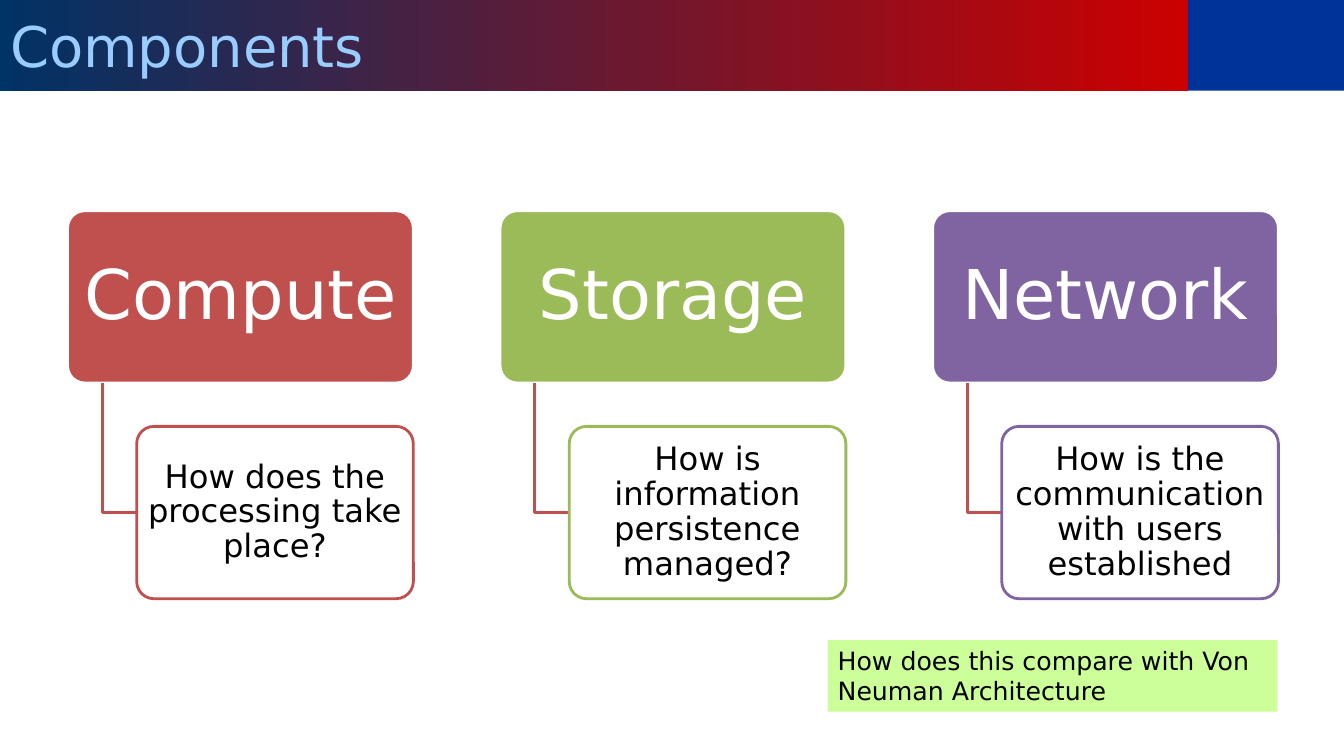
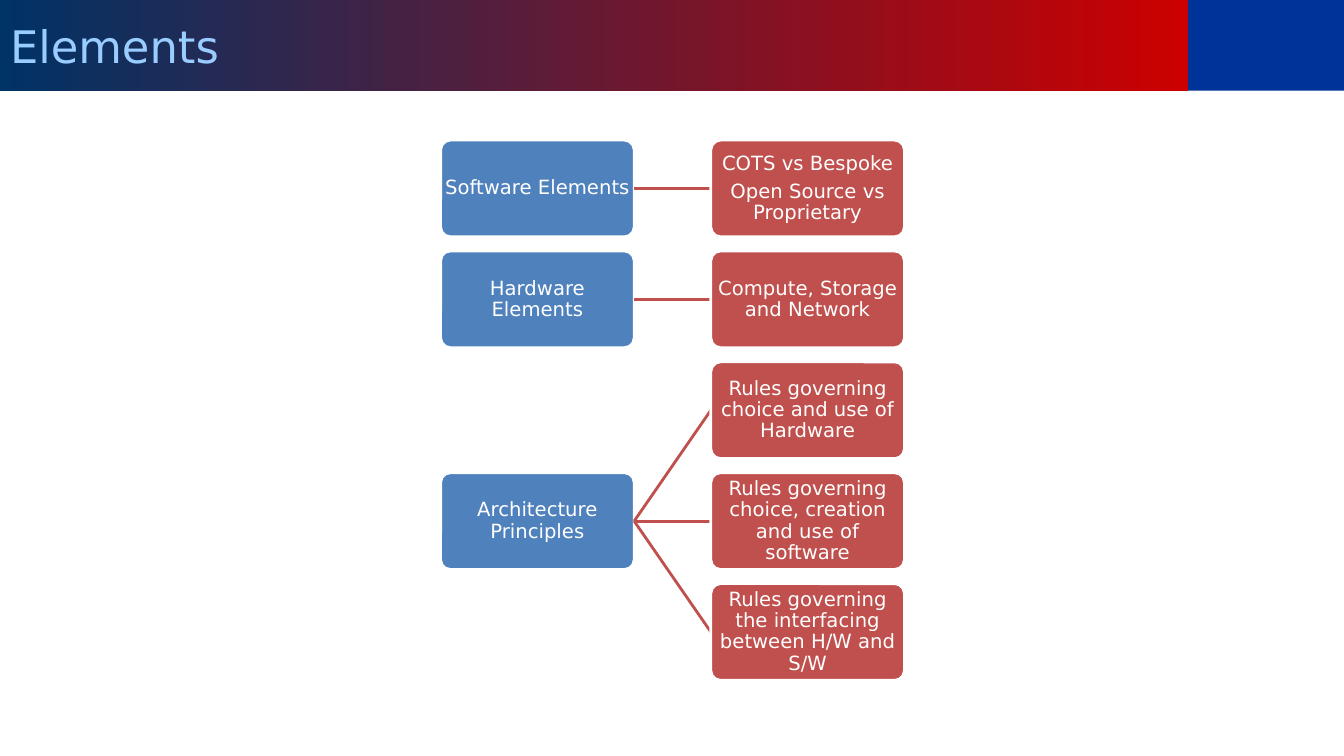
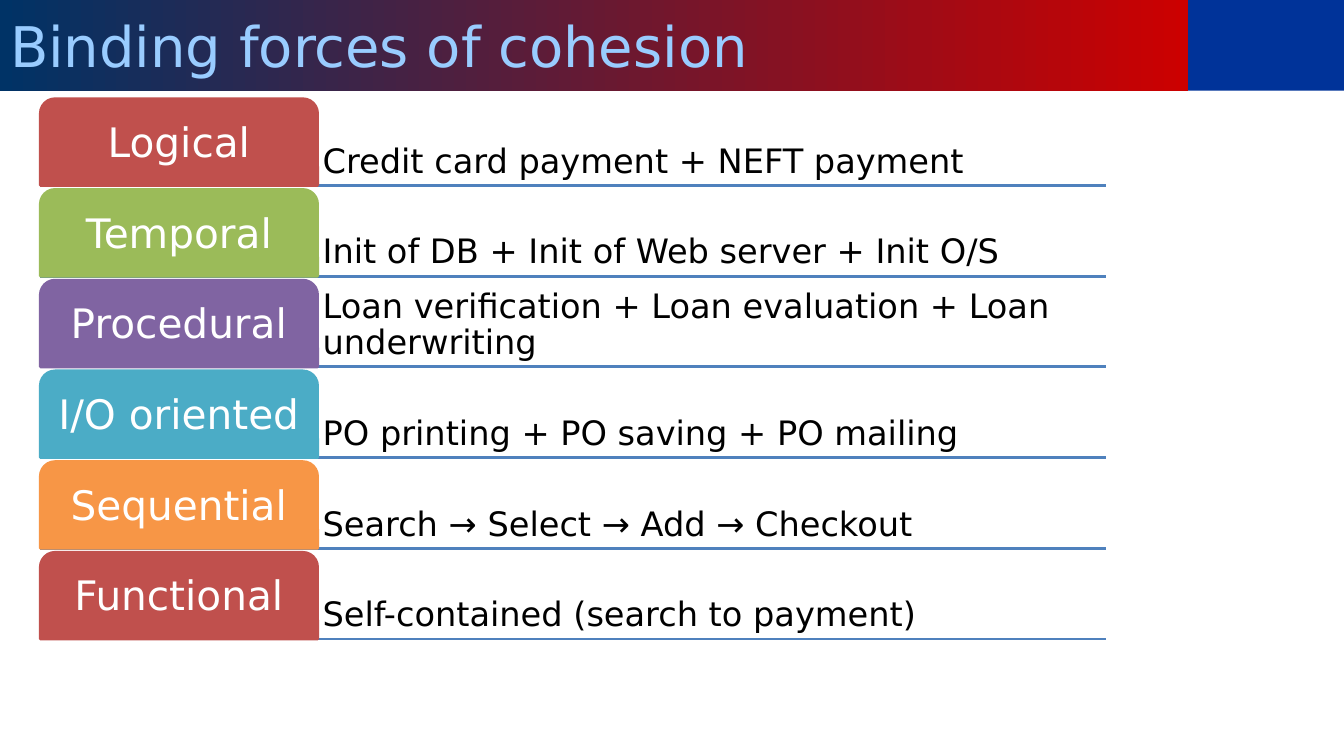
from dataclasses import dataclass
from typing import NamedTuple, Optional

from lxml.etree import SubElement
from pptx import Presentation
from pptx.dml.color import RGBColor
from pptx.enum.shapes import MSO_CONNECTOR, MSO_SHAPE
from pptx.enum.text import MSO_ANCHOR, MSO_AUTO_SIZE, PP_ALIGN
from pptx.oxml.ns import qn
from pptx.shapes.autoshape import Shape
from pptx.slide import Slide
from pptx.text.text import TextFrame
from pptx.util import Inches, Pt

# Shared style
FONT = "DejaVu Sans"
WIDTH, HEIGHT = 13.33, 7.5
BAND_HEIGHT, TITLE_WIDTH = 0.9, 11.78
LINE_WIDTH = Pt(2)

WHITE = RGBColor(0xFF, 0xFF, 0xFF)
BLACK = RGBColor(0x00, 0x00, 0x00)
NAVY = RGBColor(0x00, 0x33, 0x66)
BRIGHT_RED = RGBColor(0xCC, 0x00, 0x00)
BAND_BLUE = RGBColor(0x00, 0x33, 0x99)
SKY = RGBColor(0x99, 0xCC, 0xFF)
LIME = RGBColor(0xCC, 0xFF, 0x99)
BLUE = RGBColor(0x4F, 0x81, 0xBD)
RED = RGBColor(0xC0, 0x50, 0x4D)
GREEN = RGBColor(0x9B, 0xBB, 0x59)
PURPLE = RGBColor(0x80, 0x64, 0xA2)
TEAL = RGBColor(0x4B, 0xAC, 0xC6)
ORANGE = RGBColor(0xF7, 0x96, 0x46)


class Box(NamedTuple):
    left: float
    top: float
    width: float
    height: float

    @property
    def right(self) -> float:
        return self.left + self.width

    @property
    def bottom(self) -> float:
        return self.top + self.height

    @property
    def middle(self) -> float:
        return self.top + self.height / 2

    def emu(self) -> list[int]:
        return [Inches(v) for v in self]


@dataclass(frozen=True)
class Grid:
    left: float
    top: float
    width: float
    height: float
    gap_x: float
    gap_y: float

    def cell(self, col: int, row: int) -> Box:
        return Box(self.left + col * (self.width + self.gap_x),
                   self.top + row * (self.height + self.gap_y),
                   self.width, self.height)


@dataclass(frozen=True)
class TextStyle:
    size: float
    color: RGBColor
    align: PP_ALIGN = PP_ALIGN.CENTER
    anchor: MSO_ANCHOR = MSO_ANCHOR.MIDDLE
    margin_x: float = 0.1
    margin_y: float = 0.05
    spacing: float = 0.9


# Drawing functions
def write(tf: TextFrame, lines: list[str], style: TextStyle) -> None:
    tf.word_wrap = True
    tf.auto_size = MSO_AUTO_SIZE.NONE
    tf.vertical_anchor = style.anchor
    tf.margin_left = tf.margin_right = Inches(style.margin_x)
    tf.margin_top = tf.margin_bottom = Inches(style.margin_y)
    for i, line in enumerate(lines):
        p = tf.paragraphs[0] if i == 0 else tf.add_paragraph()
        p.alignment = style.align
        p.line_spacing = style.spacing
        if i < len(lines) - 1:
            p.space_after = Pt(round(0.35 * style.size))
        r = p.add_run()
        r.text = line
        r.font.name = FONT
        r.font.size = Pt(style.size)
        r.font.color.rgb = style.color


def add_box(slide: Slide, kind: MSO_SHAPE, box: Box, fill: RGBColor,
            line: Optional[RGBColor] = None,
            adjust: Optional[float] = None) -> Shape:
    sp = slide.shapes.add_shape(kind, *box.emu())
    sp.shadow.inherit = False
    sp.fill.solid()
    sp.fill.fore_color.rgb = fill
    if line is None:
        sp.line.fill.background()
    else:
        sp.line.color.rgb = line
        sp.line.width = LINE_WIDTH
    if adjust is not None:
        sp.adjustments[0] = adjust
    return sp


def add_card(slide: Slide, box: Box, fill: RGBColor, line: RGBColor,
             lines: list[str], style: TextStyle) -> Shape:
    sp = add_box(slide, MSO_SHAPE.ROUNDED_RECTANGLE, box, fill, line, 0.1)
    write(sp.text_frame, lines, style)
    return sp


def set_alpha(sp: Shape, percent: int) -> None:
    color = sp.element.spPr.find(qn("a:solidFill")).find(qn("a:srgbClr"))
    SubElement(color, qn("a:alpha")).set("val", str(percent * 1000))


def add_line(slide: Slide, x1: float, y1: float, x2: float, y2: float,
             color: RGBColor) -> None:
    cx = slide.shapes.add_connector(MSO_CONNECTOR.STRAIGHT, Inches(x1),
                                    Inches(y1), Inches(x2), Inches(y2))
    cx.line.color.rgb = color
    cx.line.width = LINE_WIDTH
    SubElement(cx.element.spPr, qn("a:effectLst"))


def add_elbow(slide: Slide, x: float, top: float, right: float,
              bottom: float) -> None:
    fb = slide.shapes.build_freeform(Inches(x), Inches(top))
    fb.add_line_segments([(Inches(x), Inches(bottom)),
                          (Inches(right), Inches(bottom))], close=False)
    sp = fb.convert_to_shape()
    sp.shadow.inherit = False
    sp.fill.background()
    sp.line.color.rgb = RED
    sp.line.width = LINE_WIDTH


prs = Presentation()
prs.slide_width, prs.slide_height = Inches(WIDTH), Inches(HEIGHT)
layout = prs.slide_layouts[5]


def add_slide(title: str, size: float = 40) -> Slide:
    slide = prs.slides.add_slide(layout)
    sp = slide.shapes.title
    sp.left, sp.top, sp.width, sp.height = Box(0, 0, TITLE_WIDTH, BAND_HEIGHT).emu()
    sp.fill.gradient()
    sp.fill.gradient_angle = 0
    for stop, color in zip(sp.fill.gradient_stops, (NAVY, BRIGHT_RED)):
        stop.color.rgb = color
    write(sp.text_frame, [title],
          TextStyle(size, SKY, align=PP_ALIGN.LEFT, spacing=1.0))
    return slide


# Slide 1: components
class Component(NamedTuple):
    name: str
    question: str
    color: RGBColor


COMPONENTS = [
    Component("Compute", "How does the processing take place?", RED),
    Component("Storage", "How is information persistence managed?", GREEN),
    Component("Network", "How is the communication with users established", PURPLE),
]
slide = add_slide("Components")

# The corner block belongs to the layout, so every slide shows it
corner = add_box(slide, MSO_SHAPE.RECTANGLE,
                 Box(TITLE_WIDTH, 0, WIDTH - TITLE_WIDTH, BAND_HEIGHT), BAND_BLUE)
layout.shapes.element.append(corner.element)

grid = Grid(0.67, 2.09, 3.43, 1.71, 0.86, 0.43)
name_style = TextStyle(49, WHITE, margin_y=0.07)
question_style = TextStyle(23, BLACK, margin_x=0.05, margin_y=0.03)
for col, item in enumerate(COMPONENTS):
    head, below = grid.cell(col, 0), grid.cell(col, 1)
    detail = below._replace(left=below.left + 0.2 * below.width,
                            width=0.8 * below.width)
    add_card(slide, head, item.color, WHITE, [item.name], name_style)
    add_elbow(slide, head.left + 0.1 * head.width, head.bottom,
              detail.left, detail.middle)
    sp = add_card(slide, detail, WHITE, item.color, [item.question], question_style)
    set_alpha(sp, 90)

note = add_box(slide, MSO_SHAPE.RECTANGLE, Box(8.21, 6.35, 4.46, 0.71), LIME)
write(note.text_frame, ["How does this compare with Von Neuman Architecture"],
      TextStyle(18, BLACK, PP_ALIGN.LEFT, MSO_ANCHOR.TOP, spacing=1.0))


# Slide 2: elements and their branches
class Element(NamedTuple):
    name: str
    row: int
    branches: dict[int, list[str]]


ELEMENTS = [
    Element("Software Elements", 0,
            {0: ["COTS vs Bespoke", "Open Source vs Proprietary"]}),
    Element("Hardware Elements", 1, {1: ["Compute, Storage and Network"]}),
    Element("Architecture Principles", 3, {
        2: ["Rules governing choice and use of Hardware"],
        3: ["Rules governing choice, creation and use of software"],
        4: ["Rules governing the interfacing between H/W and S/W"],
    }),
]
slide = add_slide("Elements", 32)
grid = Grid(4.37, 1.39, 1.92, 0.96, 0.76, 0.14)
element_style = TextStyle(14, WHITE, margin_x=0.01, margin_y=0.01)
for item in ELEMENTS:
    parent = grid.cell(0, item.row)
    add_card(slide, parent, BLUE, WHITE, [item.name], element_style)
    for row, lines in item.branches.items():
        child = grid.cell(1, row)
        add_line(slide, parent.right, parent.middle, child.left, child.middle, RED)
        add_card(slide, child, RED, WHITE, lines, element_style)


# Slide 3: forces of cohesion
class Force(NamedTuple):
    name: str
    example: str
    color: RGBColor


FORCES = [
    Force("Logical", "Credit card payment + NEFT payment", RED),
    Force("Temporal", "Init of DB + Init of Web server + Init O/S", GREEN),
    Force("Procedural", "Loan verification + Loan evaluation + Loan underwriting",
          PURPLE),
    Force("I/O oriented", "PO printing + PO saving + PO mailing", TEAL),
    Force("Sequential", "Search → Select → Add → Checkout", ORANGE),
    Force("Functional", "Self-contained (search to payment)", RED),
]
slide = add_slide("Binding forces of cohesion")
grid = Grid(0.4, 0.98, 2.75, 0.86, 0, 0.04)
tab_style = TextStyle(29, WHITE, margin_x=0.06, margin_y=0.06)
example_style = TextStyle(24, BLACK, PP_ALIGN.LEFT, MSO_ANCHOR.BOTTOM, margin_x=0.05)
for row, item in enumerate(FORCES):
    tab = grid.cell(0, row)
    example = tab._replace(left=tab.right, width=7.82)
    add_line(slide, tab.left, tab.bottom, example.right, tab.bottom, BLUE)
    tb = slide.shapes.add_textbox(*example.emu())
    write(tb.text_frame, [item.example], example_style)
    sp = add_box(slide, MSO_SHAPE.ROUND_2_SAME_RECTANGLE, tab, item.color,
                 item.color, 0.17)
    write(sp.text_frame, [item.name], tab_style)

prs.save("out.pptx")
